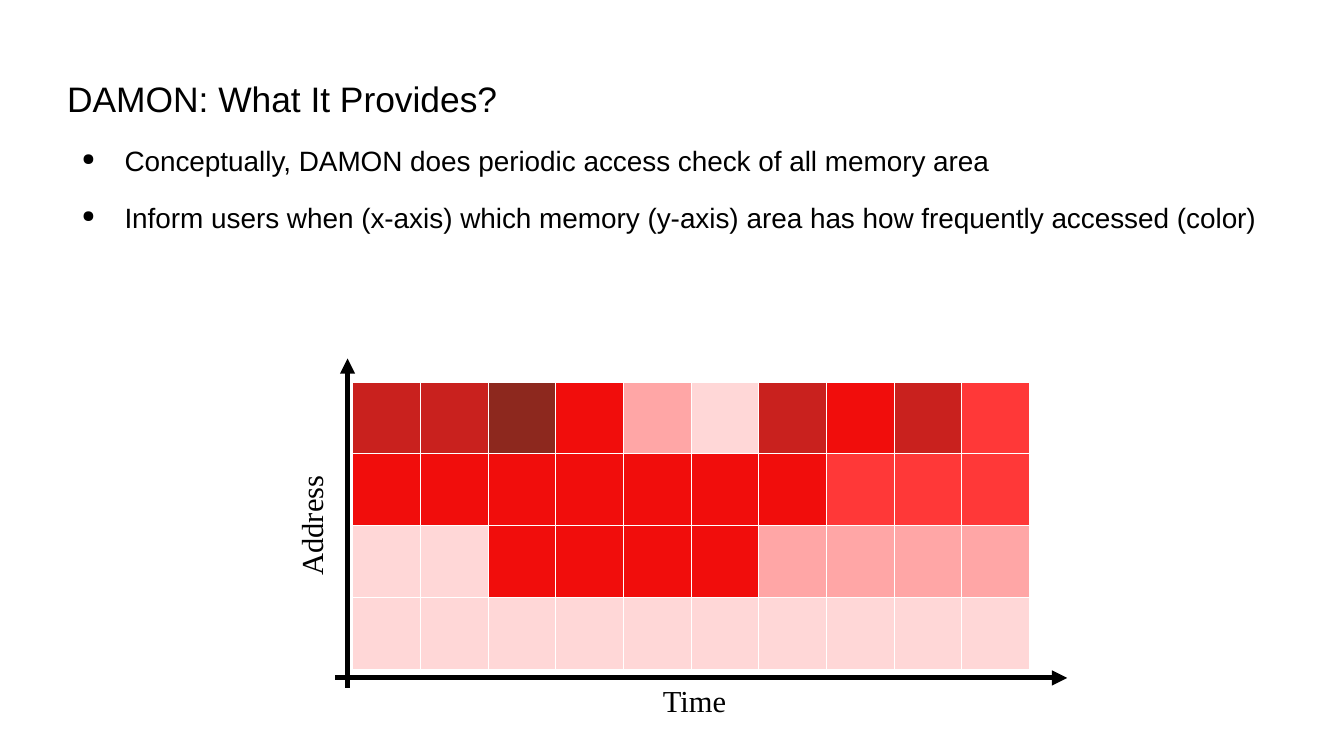
from pptx import Presentation
from pptx.dml.color import RGBColor as RGB
from pptx.enum.shapes import MSO_CONNECTOR as Conn
from pptx.enum.text import MSO_ANCHOR as Anchor, PP_ALIGN as Align
from pptx.oxml import parse_xml
from pptx.oxml.ns import nsdecls, qn
from pptx.util import Inches, Pt
from lxml.etree import SubElement as Sub

WIDE, HIGH = 11.02, 6.2
COLORS = {
    "ink": "000000", "edge": "FFFFFF",
    "D": "8D281E", "C": "C9211E", "R": "F10D0C",
    "M": "FF3838", "L": "FFA6A6", "P": "FFD7D7",
}
HEAT = ["CCDRLPCRCM", "RRRRRRRMMM", "PPRRRRLLLL", "PPPPPPPPPP"]
POINTS = [
    "Conceptually, DAMON does periodic access check of all memory area",
    "Inform users when (x-axis) which memory (y-axis) area has how frequently accessed (color)",
]
PLAIN = "{2D5ABB26-0587-4C30-8999-92F81FD0307C}"


def paint(name):
    return RGB.from_string(COLORS[name])


def inch(*vals):
    return [Inches(v) for v in vals]


def style(font, face, size):
    for key, val in {"name": face, "size": Pt(size)}.items():
        setattr(font, key, val)
    font.color.rgb = paint("ink")


def add_text(slide, box, **form):
    """Add a text box without margins and return its shape."""
    shape = slide.shapes.add_textbox(*inch(*box))
    base = dict.fromkeys(
        ("margin_left", "margin_right", "margin_top", "margin_bottom"), 0)
    for key, val in {**base, "word_wrap": True, **form}.items():
        setattr(shape.text_frame, key, val)
    return shape


def add_title(slide, box, text):
    frame = add_text(slide, box, vertical_anchor=Anchor.MIDDLE).text_frame
    frame.text = text
    style(frame.paragraphs[0].font, "Arial", 20.9)


def add_list(slide, box, items):
    frame = add_text(slide, box).text_frame
    for i, item in enumerate(items):
        para = frame.add_paragraph() if i else frame.paragraphs[0]
        para.text = item
        props = para._p.get_or_add_pPr()
        props.set("marL", str(Inches(0.47)))
        props.set("indent", str(Inches(-0.35)))
        tint = Sub(props, qn("a:buClr"))
        Sub(tint, qn("a:srgbClr"), val=COLORS["ink"])
        Sub(props, qn("a:buSzPct"), val="60000")
        Sub(props, qn("a:buChar"), char="●")
        if i:
            para.space_before = Pt(14.1)
        style(para.font, "Arial", 16.5)


def add_edges(cell, sides):
    props = cell._tc.get_or_add_tcPr()
    for side in sides:
        props.append(parse_xml(
            f'<a:ln{side} {nsdecls("a")} w="{Pt(0.06)}"><a:solidFill>'
            f'<a:srgbClr val="{COLORS["edge"]}"/></a:solidFill></a:ln{side}>'))


def add_heat(slide, box, rows):
    """Draw the table; a cell shares a left edge only with its own colour."""
    frame = slide.shapes.add_table(len(rows), len(rows[0]), *inch(*box))
    table = frame.table
    table.first_row = table.horz_banding = False
    table._tbl.tblPr.find(qn("a:tableStyleId")).text = PLAIN
    for r, row in enumerate(rows):
        for c, shade in enumerate(row):
            left = c == 0 or (r > 0 and shade == row[c - 1])
            cell = table.cell(r, c)
            add_edges(cell, ("L" if left else "") + "R" + ("" if r else "T") + "B")
            cell.fill.solid()
            cell.fill.fore_color.rgb = paint(shade)


def add_axis(slide, start, end):
    axis = slide.shapes.add_connector(Conn.STRAIGHT, *inch(*start, *end))
    axis.line.width = Pt(3)
    axis.line.color.rgb = paint("ink")
    Sub(axis.line._get_or_add_ln(), qn("a:tailEnd"), type="triangle")
    Sub(axis._element.spPr, qn("a:effectLst"))


def add_label(slide, mid, text, turn=0):
    wide, high = 1.6, 0.5
    box = mid[0] - wide / 2, mid[1] - high / 2, wide, high
    shape = add_text(slide, box, vertical_anchor=Anchor.MIDDLE, word_wrap=False)
    shape.rotation = turn
    para = shape.text_frame.paragraphs[0]
    para.text = text
    para.alignment = Align.CENTER
    style(para.font, "Times New Roman", 18)


def add_map(slide, box):
    """Place the heat table, both axes and their labels around the box."""
    x, y, wide, high = box
    base, side = y + high + 0.07, x - 0.04
    add_heat(slide, box, HEAT)
    add_axis(slide, (x - 0.14, base), (x + wide + 0.31, base))
    add_axis(slide, (side, base + 0.08), (side, y - 0.19))
    add_label(slide, (x + wide / 2 + 0.03, base + 0.18), "Time")
    add_label(slide, (x - 0.34, y + high / 2), "Address", 270)


def main():
    deck = Presentation()
    deck.slide_width, deck.slide_height = inch(WIDE, HIGH)
    slide = deck.slides.add_slide(deck.slide_layouts[6])
    left, wide = 0.05 * WIDE, 0.9 * WIDE
    add_title(slide, (left, 0.09 * HIGH, wide, 0.08 * HIGH), DECK_TITLE)
    add_list(slide, (left, 0.19 * HIGH, wide, 0.25 * HIGH), POINTS)
    add_map(slide, (2.89, 3.13, 5.55, 2.36))
    deck.save("out.pptx")


DECK_TITLE = "DAMON: What It Provides?"

if __name__ == "__main__":
    main()
